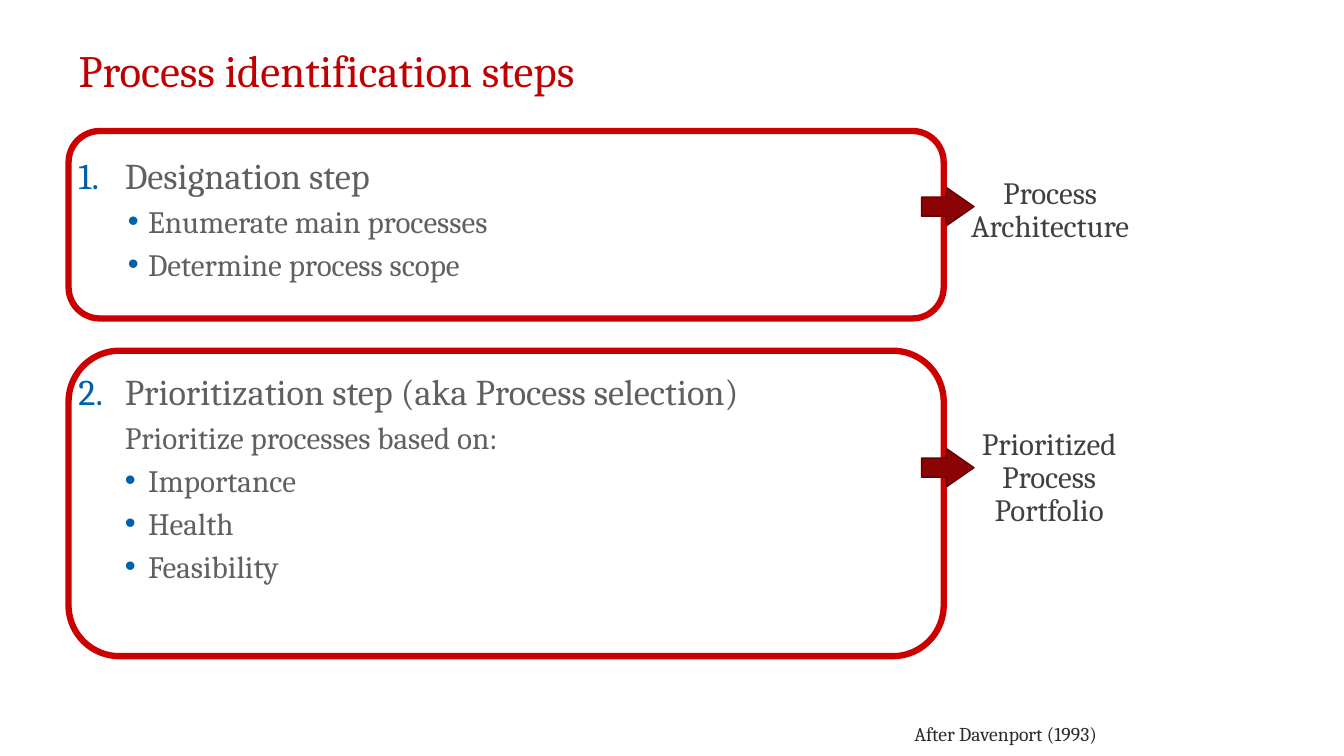
import pptx
import pptx.util
import pptx.dml.color
import pptx.enum.shapes
import pptx.enum.text
import pptx.oxml.ns
from lxml import etree

Inches = pptx.util.Inches
Pt = pptx.util.Pt
RGB = pptx.dml.color.RGBColor
Shape = pptx.enum.shapes.MSO_SHAPE
Align = pptx.enum.text.PP_ALIGN
Anchor = pptx.enum.text.MSO_ANCHOR

FONT = "Cambria"
TITLE = RGB(0xC0, 0x00, 0x00)
GREY = RGB(0x60, 0x60, 0x60)
LABEL = RGB(0x40, 0x40, 0x40)
INK = RGB(0x2B, 0x2B, 0x2B)
FRAME = RGB(0xCC, 0x00, 0x00)
ARROW = RGB(0x8B, 0x03, 0x04)
EDGE = RGB(0x67, 0x02, 0x03)
BULLET = "0061AA"

# kind: (level, margin, indent, size, bullet tag, bullet attributes)
KINDS = {
    "step": (0, 0.46, -0.46, 25.9, "a:buAutoNum", {"type": "arabicPeriod"}),
    "task": (1, 0.69, -0.2, 22.2, "a:buChar", {"char": "•"}),
    "lead": (1, 0.46, 0, 22.2, "a:buNone", {}),
    "goal": (1, 0.69, -0.23, 22.2, "a:buChar", {"char": "•"}),
}

# kind, space before, text
STEPS = [
    ("step", 0, "Designation step"),
    ("task", 4, "Enumerate main processes"),
    ("task", 4, "Determine process scope"),
    ("step", 62, "Prioritization step (aka Process selection)"),
    ("lead", 4, "Prioritize processes based on:"),
    ("goal", 4, "Importance"),
    ("goal", 4, "Health"),
    ("goal", 4, "Feasibility"),
]

# frame top, frame height, arrow top, label box, label lines
STAGES = [
    (1.3, 1.86, 1.86, (9.23, 1.71, 2.37, 0.72), ["Process Architecture"]),
    (3.48, 3.03, 4.45, (9.36, 4.2, 2.09, 1.25),
     ["Prioritized", "Process", "Portfolio"]),
]


class Deck:
    def __init__(self):
        self.file = pptx.Presentation()
        self.file.slide_width = Inches(13.33)
        self.file.slide_height = Inches(7.5)
        self.slide = self.file.slides.add_slide(self.file.slide_layouts[5])

    def run(self, para, text, size, color):
        run = para.add_run()
        run.text = text
        run.font.name = FONT
        run.font.size = Pt(size)
        run.font.color.rgb = color

    def title(self, text, *box):
        shape = self.slide.shapes.title
        shape.left, shape.top, shape.width, shape.height = map(Inches, box)
        shape.text_frame.vertical_anchor = Anchor.MIDDLE
        para = shape.text_frame.paragraphs[0]
        para.alignment = Align.LEFT
        para.line_spacing = 0.9
        self.run(para, text, 32, TITLE)

    def frame(self, box, wrap=True):
        """Add an empty text box and return its text frame."""
        text = self.slide.shapes.add_textbox(*map(Inches, box)).text_frame
        text.word_wrap = wrap
        return text

    def steps(self, items, *box):
        text = self.frame(box)
        for i, (kind, space, words) in enumerate(items):
            para = text.add_paragraph() if i else text.paragraphs[0]
            level, margin, indent, size, tag, attrs = KINDS[kind]
            para.level = level
            para.space_before = Pt(space)
            self.bullet(para, margin, indent, tag, attrs)
            self.run(para, words, size, GREY)

    def bullet(self, para, margin, indent, tag, attrs):
        qn = pptx.oxml.ns.qn
        props = para._p.get_or_add_pPr()
        props.set("marL", str(Inches(margin)))
        props.set("indent", str(Inches(indent)))
        color = etree.SubElement(props, qn("a:buClr"))
        etree.SubElement(color, qn("a:srgbClr"), val=BULLET)
        if tag == "a:buChar":
            etree.SubElement(props, qn("a:buFont"), typeface="Arial")
        etree.SubElement(props, qn(tag), attrs)

    def label(self, lines, box):
        para = self.frame(box).paragraphs[0]
        para.alignment = Align.CENTER
        para.line_spacing = 0.9
        for i, line in enumerate(lines):
            if i:
                para.add_line_break()
            self.run(para, line, 22.1, LABEL)

    def credit(self, text, *box):
        para = self.frame(box, wrap=False).paragraphs[0]
        self.run(para, text, 14, INK)

    def shape(self, kind, box, line, width, fill=None):
        shape = self.slide.shapes.add_shape(kind, *map(Inches, box))
        shape.shadow.inherit = False
        shape.line.color.rgb = line
        shape.line.width = Pt(width)
        if fill is None:
            shape.fill.background()
        else:
            shape.fill.solid()
            shape.fill.fore_color.rgb = fill
        return shape

    def arrow(self, *box):
        shape = self.shape(Shape.RIGHT_ARROW, box, EDGE, 1, ARROW)
        shape.adjustments[0] = 0.5
        shape.adjustments[1] = 0.72


def main():
    deck = Deck()
    deck.title("Process identification steps", 0.68, 0.29, 11.76, 0.87)
    deck.steps(STEPS, 0.68, 1.47, 11.86, 5.28)
    deck.credit("After Davenport (1993)", 8.97, 7.11, 2.05, 0.33)
    for top, height, tip, box, lines in STAGES:
        deck.label(lines, box)
        deck.shape(Shape.ROUNDED_RECTANGLE, (0.68, top, 8.68, height),
                   FRAME, 4.5)
        deck.arrow(9.14, tip, 0.52, 0.38)
    deck.file.save("out.pptx")


if __name__ == "__main__":
    main()
